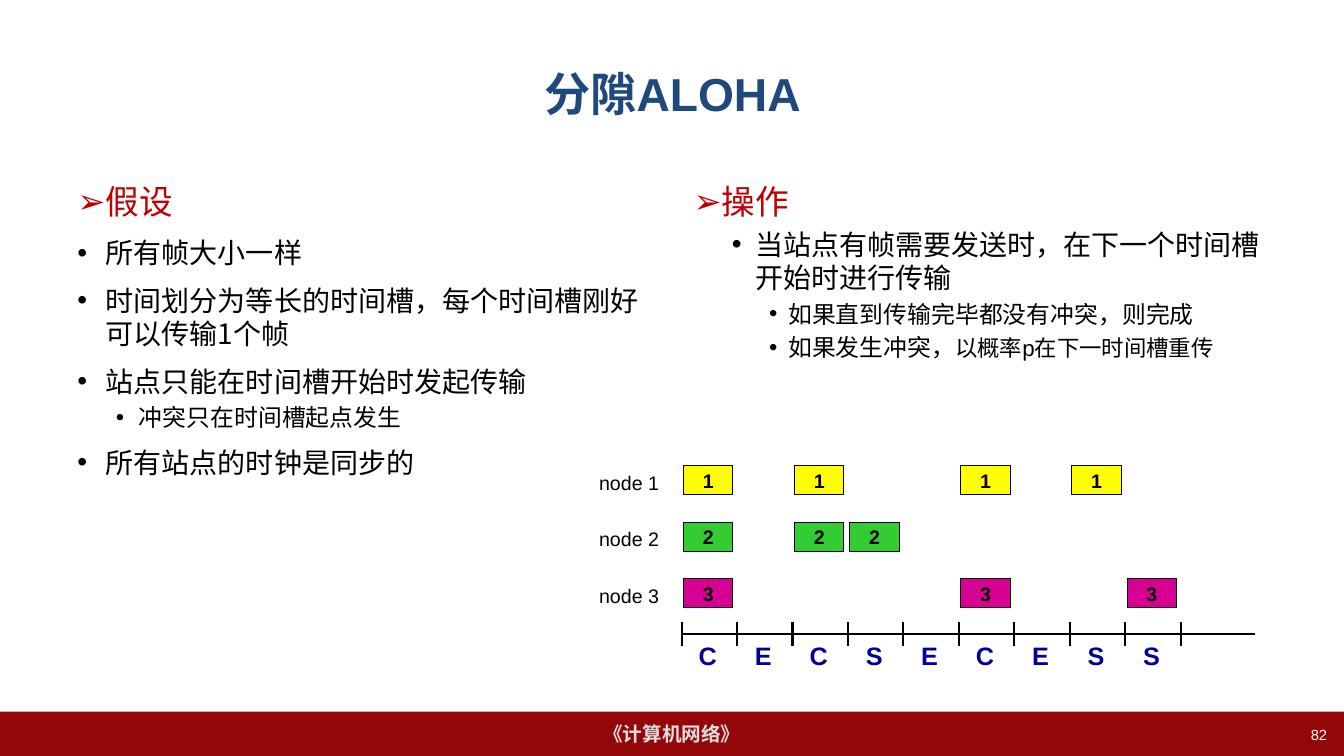
from pptx import Presentation
from pptx.dml.color import RGBColor
from pptx.enum.shapes import MSO_CONNECTOR as CONN, MSO_SHAPE as SHAPE
from pptx.enum.text import MSO_ANCHOR as ANCHOR, PP_ALIGN as ALIGN
from pptx.oxml.ns import qn
from pptx.util import Inches, Pt
from lxml.etree import SubElement

WHITE = RGBColor(0xFF, 0xFF, 0xFF)
BLACK = RGBColor(0, 0, 0)
MAROON = RGBColor(0x94, 0x07, 0x09)
SILVER = RGBColor(0xDD, 0xDD, 0xDD)
NAVY = RGBColor(0x1F, 0x49, 0x7D)
RED = RGBColor(0xC0, 0, 0)
BLUE = RGBColor(0, 0, 0x99)
YELLOW = RGBColor(0xFF, 0xFF, 0)
GREEN = RGBColor(0x33, 0xCC, 0x33)
MAGENTA = RGBColor(0xD6, 0, 0x93)
LATIN, CJK = "Arial", "Noto Sans CJK SC"

# Left margin, hanging indent (inches) and space before (share of size) per level
LEVELS = [(0.28, 0.28, 0.5), (0.61, 0.23, 0.2), (0.94, 0.19, 0.2)]


def add_run(p, text, size=14, color=BLACK, bold=False, font=LATIN):
    r = p.add_run()
    r.text = text
    r.font.size, r.font.bold, r.font.name = Pt(size), bold, font
    r.font.color.rgb = color
    SubElement(r._r.rPr, qn("a:ea")).set("typeface", CJK)


class SlideBuilder:
    def __init__(self, slide, latin=LATIN):
        self.shapes = slide.shapes
        self.latin = latin

    def text(self, x, y, w, h, text, align=ALIGN.CENTER, wrap=False,
             anchor=ANCHOR.TOP, **fmt):
        tf = self.shapes.add_textbox(
            Inches(x), Inches(y), Inches(w), Inches(h)).text_frame
        tf.word_wrap, tf.vertical_anchor = wrap, anchor
        p = tf.paragraphs[0]
        p.alignment = align
        add_run(p, text, font=self.latin, **fmt)

    def box(self, x, y, w, h, fill, text, line=None, **fmt):
        sp = self.shapes.add_shape(
            SHAPE.RECTANGLE, Inches(x), Inches(y), Inches(w), Inches(h))
        sp.shadow.inherit = False
        sp.fill.solid()
        sp.fill.fore_color.rgb = fill
        if line is None:
            sp.line.fill.background()
        else:
            sp.line.color.rgb, sp.line.width = line, Pt(0.75)
        tf = sp.text_frame
        tf.word_wrap, tf.vertical_anchor = False, ANCHOR.MIDDLE
        p = tf.paragraphs[0]
        p.alignment = ALIGN.CENTER
        add_run(p, text, font=self.latin, **fmt)

    def line(self, x1, y1, x2, y2, width):
        c = self.shapes.add_connector(
            CONN.STRAIGHT, Inches(x1), Inches(y1), Inches(x2), Inches(y2))
        c.line.color.rgb, c.line.width = BLACK, Pt(width)
        SubElement(c._element.spPr, qn("a:effectLst"))

    def outline(self, x, heading, items, font):
        """Red heading, then items of (level, [(text, size), ...])."""
        tf = self.shapes.add_textbox(
            Inches(x), Inches(1.75), Inches(5.89), Inches(4.95)).text_frame
        tf.word_wrap = True
        self.bullet(tf.paragraphs[0], 0, "➢", 0)
        add_run(tf.paragraphs[0], heading, 24, RED, font=CJK)
        for level, runs in items:
            p = tf.add_paragraph()
            self.bullet(p, level, "•", runs[0][1])
            for text, size in runs:
                add_run(p, text, size, font=font)

    def bullet(self, p, level, char, size):
        margin, hanging, before = LEVELS[level]
        p.level = level
        p.space_before = Pt(before * size)
        pPr = p._p.get_or_add_pPr()
        pPr.set("marL", str(Inches(margin)))
        pPr.set("indent", str(-Inches(hanging)))
        SubElement(pPr, qn("a:buFont")).set("typeface", LATIN)
        SubElement(pPr, qn("a:buChar")).set("char", char)


def main():
    prs = Presentation()
    prs.slide_width, prs.slide_height = Inches(13.33), Inches(7.5)
    s = SlideBuilder(prs.slides.add_slide(prs.slide_layouts[6]))

    # Footer band and title
    s.box(0, 7.06, 13.33, 0.44, MAROON, "《计算机网络》", color=SILVER, bold=True)
    s.text(0.67, 0.3, 12, 1.25, "分隙ALOHA", wrap=True, anchor=ANCHOR.MIDDLE,
           size=33, color=NAVY, bold=True)

    # Assumptions and operation
    s.outline(0.67, "假设", [
        (0, [("所有帧大小一样", 20)]),
        (0, [("时间划分为等长的时间槽，每个时间槽刚好可以传输1个帧", 20)]),
        (0, [("站点只能在时间槽开始时发起传输", 20)]),
        (1, [("冲突只在时间槽起点发生", 17)]),
        (0, [("所有站点的时钟是同步的", 20)]),
    ], CJK)
    s.outline(6.78, "操作", [
        (1, [("当站点有帧需要发送时，在下一个时间槽开始时进行传输", 20)]),
        (2, [("如果直到传输完毕都没有冲突，则完成", 17)]),
        (2, [("如果发生冲突，", 17), ("以概率p在下一时间槽重传", 16)]),
    ], LATIN)
    s.text(10.15, 7.15, 3.11, 0.35, "82", align=ALIGN.RIGHT, wrap=True,
           size=10.5, color=WHITE)

    # Frames sent by each node, by slot number
    axis_x, axis_y, slot_w = 6.76, 6.29, 0.55
    nodes = [(YELLOW, [0, 2, 5, 7]), (GREEN, [0, 2, 3]), (MAGENTA, [0, 5, 8])]
    for i, (color, slots) in enumerate(nodes):
        y = 4.62 + 0.56 * i
        s.text(5.74, y, 1, 0.33, f"node {i + 1}")
        for slot in slots:
            s.box(axis_x + 0.02 + slot_w * slot, y, 0.49, 0.29, color,
                  str(i + 1), line=BLACK, bold=True)

    # Time axis: ticks and the outcome of each slot
    outcomes = "CECSECESS"
    s.line(axis_x, axis_y, 12.45, axis_y, 0.75)
    for i in range(len(outcomes) + 1):
        x = axis_x + slot_w * i
        s.line(x, axis_y - 0.12, x, axis_y + 0.12, 1.5)
    for i, outcome in enumerate(outcomes):
        s.text(axis_x + 0.07 + slot_w * i, 6.3, 0.38, 0.4, outcome,
               size=18, color=BLUE, bold=True)

    prs.save("out.pptx")


if __name__ == "__main__":
    main()
